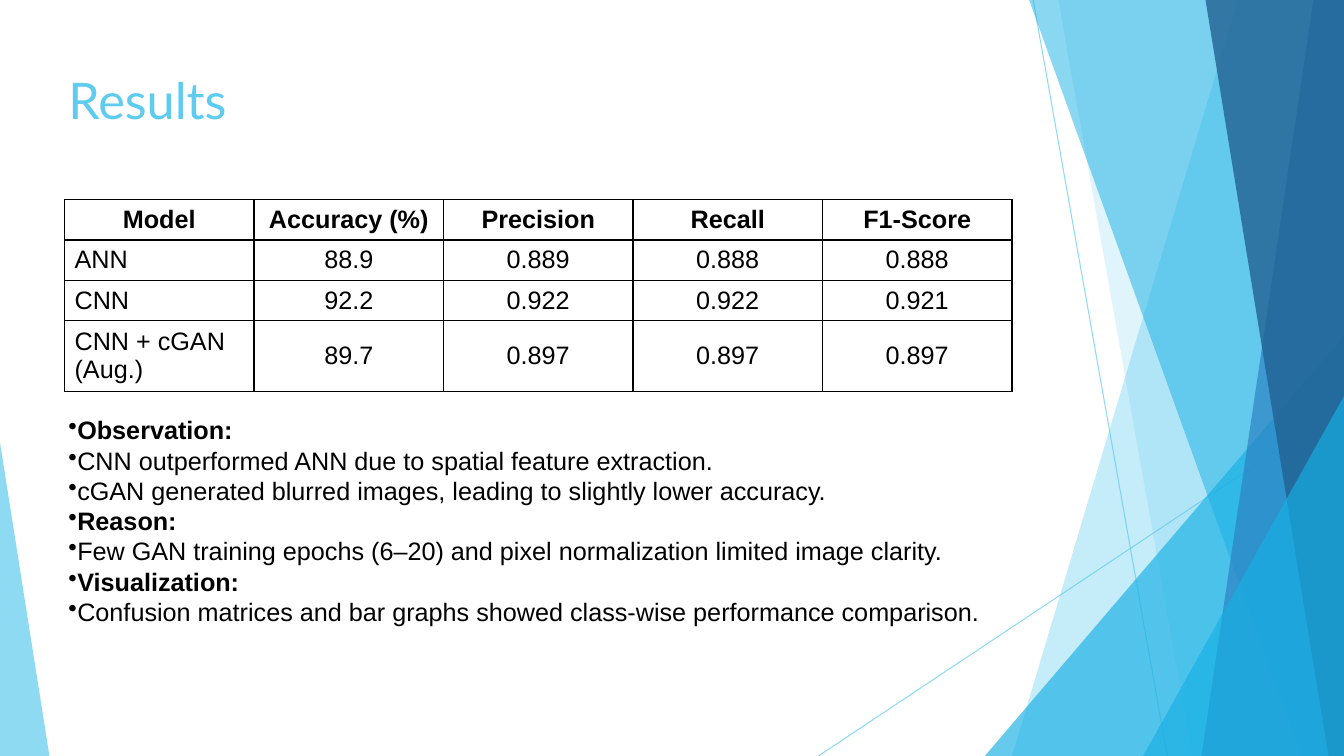
from lxml import etree
from pptx import Presentation
from pptx.dml.color import RGBColor
from pptx.enum.shapes import MSO_CONNECTOR, MSO_SHAPE
from pptx.enum.text import MSO_ANCHOR, PP_ALIGN
from pptx.oxml.ns import qn
from pptx.util import Pt

STRAIGHT = MSO_CONNECTOR.STRAIGHT
TRIANGLE = MSO_SHAPE.ISOSCELES_TRIANGLE
TOP, MIDDLE = MSO_ANCHOR.TOP, MSO_ANCHOR.MIDDLE
LEFT, CENTER = PP_ALIGN.LEFT, PP_ALIGN.CENTER

WIDTH, HEIGHT = 960, 540
COLORS = {
    "sky": "5FCBEF",
    "cyan": "17B0E4",
    "blue": "2E83C3",
    "navy": "226292",
    "black": "000000",
}

RESULTS = [
    ("Model", "Accuracy (%)", "Precision", "Recall", "F1-Score"),
    ("ANN", "88.9", "0.889", "0.888", "0.888"),
    ("CNN", "92.2", "0.922", "0.922", "0.921"),
    ("CNN + cGAN (Aug.)", "89.7", "0.897", "0.897", "0.897"),
]
FINDINGS = [
    ("Observation:", True),
    ("CNN outperformed ANN due to spatial feature extraction.", False),
    ("cGAN generated blurred images, leading to slightly lower accuracy.", False),
    ("Reason:", True),
    ("Few GAN training epochs (6–20) and pixel normalization limited image clarity.", False),
    ("Visualization:", True),
    ("Confusion matrices and bar graphs showed class-wise performance comparison.", False),
]


class SlideBuilder:
    def __init__(self, slide):
        self.slide = slide
        self.shapes = slide.shapes
        self.heading_font = "Lato"
        self.body_font = "Arial"
        self.body_size = 18

    def paint(self, color_format, color, opacity):
        """Set a solid colour and its opacity in percent."""
        color_format.rgb = RGBColor.from_string(COLORS[color])

    def set_opacity(self, parent, opacity):
        rgb = parent.find(qn("a:solidFill")).find(qn("a:srgbClr"))
        etree.SubElement(rgb, qn("a:alpha")).set("val", str(opacity * 1000))

    def fill(self, shape, color, opacity):
        shape.shadow.inherit = False
        shape.line.fill.background()
        shape.fill.solid()
        self.paint(shape.fill.fore_color, color, opacity)
        self.set_opacity(shape._element.spPr, opacity)

    def line(self, x1, y1, x2, y2):
        connector = self.shapes.add_connector(STRAIGHT, Pt(x1), Pt(y1), Pt(x2), Pt(y2))
        connector.line.width = Pt(0.75)
        self.paint(connector.line.color, "sky", 70)
        properties = connector._element.spPr
        self.set_opacity(properties.find(qn("a:ln")), 70)
        etree.SubElement(properties, qn("a:effectLst"))

    def band(self, top_x, bottom_x, color, opacity):
        """Fill from a slanted left edge to the right side of the slide."""
        outline = self.shapes.build_freeform(Pt(top_x), 0)
        corners = [(WIDTH, 0), (WIDTH, HEIGHT), (bottom_x, HEIGHT)]
        outline.add_line_segments([(Pt(x), Pt(y)) for x, y in corners], close=True)
        self.fill(outline.convert_to_shape(), color, opacity)

    def corner(self, left, top, right, apex, color, opacity):
        """Add a triangle standing on the bottom edge of the slide."""
        triangle = self.shapes.add_shape(
            TRIANGLE, Pt(left), Pt(top), Pt(right - left), Pt(HEIGHT - top))
        triangle.adjustments[0] = apex
        self.fill(triangle, color, opacity)

    def format_runs(self, paragraph, font, size, color, bold=False):
        for run in paragraph.runs:
            run.font.name = font
            run.font.size = Pt(size)
            run.font.bold = bold
            run.font.color.rgb = RGBColor.from_string(COLORS[color])

    def text_frame(self, left, top, width, height, anchor):
        frame = self.shapes.add_textbox(Pt(left), Pt(top), Pt(width), Pt(height)).text_frame
        frame.word_wrap = True
        frame.vertical_anchor = anchor
        return frame

    def title(self, text, left, top, width, height):
        frame = self.text_frame(left, top, width, height, TOP)
        frame.text = text
        self.format_runs(frame.paragraphs[0], self.heading_font, 36, "sky")

    def bullets(self, items, left, top, width, height):
        frame = self.text_frame(left, top, width, height, MIDDLE)
        frame.text = "\n".join(text for text, _ in items)
        for paragraph, (_, bold) in zip(frame.paragraphs, items):
            paragraph.line_spacing = Pt(21.6)
            self.format_runs(paragraph, self.body_font, self.body_size, "black", bold)
            properties = paragraph._p.get_or_add_pPr()
            etree.SubElement(properties, qn("a:buChar")).set("char", "•")

    def border(self, cell):
        properties = cell._tc.get_or_add_tcPr()
        for index, side in enumerate(("a:lnL", "a:lnR", "a:lnT", "a:lnB")):
            edge = etree.Element(qn(side), w=str(Pt(1)))
            solid = etree.SubElement(edge, qn("a:solidFill"))
            etree.SubElement(solid, qn("a:srgbClr"), val=COLORS["black"])
            properties.insert(index, edge)

    def table(self, rows, left, top, column_width, row_heights):
        columns = len(rows[0])
        table = self.shapes.add_table(
            len(rows), columns, Pt(left), Pt(top),
            Pt(column_width * columns), Pt(sum(row_heights))).table
        table.first_row = table.horz_banding = False
        for column in table.columns:
            column.width = Pt(column_width)
        for r, (values, height) in enumerate(zip(rows, row_heights)):
            table.rows[r].height = Pt(height)
            for c, value in enumerate(values):
                cell = table.cell(r, c)
                cell.fill.background()
                cell.vertical_anchor = MIDDLE
                cell.text_frame.text = value
                paragraph = cell.text_frame.paragraphs[0]
                paragraph.alignment = LEFT if r and c == 0 else CENTER
                self.format_runs(paragraph, self.body_font, self.body_size, "black", r == 0)
                self.border(cell)


def main():
    presentation = Presentation()
    presentation.slide_width, presentation.slide_height = Pt(WIDTH), Pt(HEIGHT)
    blank = presentation.slide_layouts[6]
    builder = SlideBuilder(presentation.slides.add_slide(blank))

    builder.line(738, 0, 833.76, HEIGHT)
    builder.line(WIDTH, 290.16, 584.64, HEIGHT)
    builder.band(884.16, 722.88, "sky", 36)
    builder.band(756, 851.76, "sky", 20)
    builder.corner(703.44, 239.76, WIDTH, 1, "cyan", 66)
    builder.band(735.12, 929.52, "cyan", 50)
    builder.band(938.16, 858.24, "blue", 70)
    builder.band(861.12, 948.96, "navy", 80)
    builder.corner(816.48, 282.96, WIDTH, 1, "cyan", 66)
    builder.corner(0, 316.08, 35.28, 0, "sky", 70)

    builder.title("Results", 41.76, 46.08, 676.8, 103.68)
    builder.bullets(FINDINGS, 41.76, 270, 671.04, 203.76)
    builder.table(RESULTS, 46.08, 142.56, 135.36, [28.8, 28.8, 28.8, 50.4])
    presentation.save("out.pptx")


if __name__ == "__main__":
    main()
